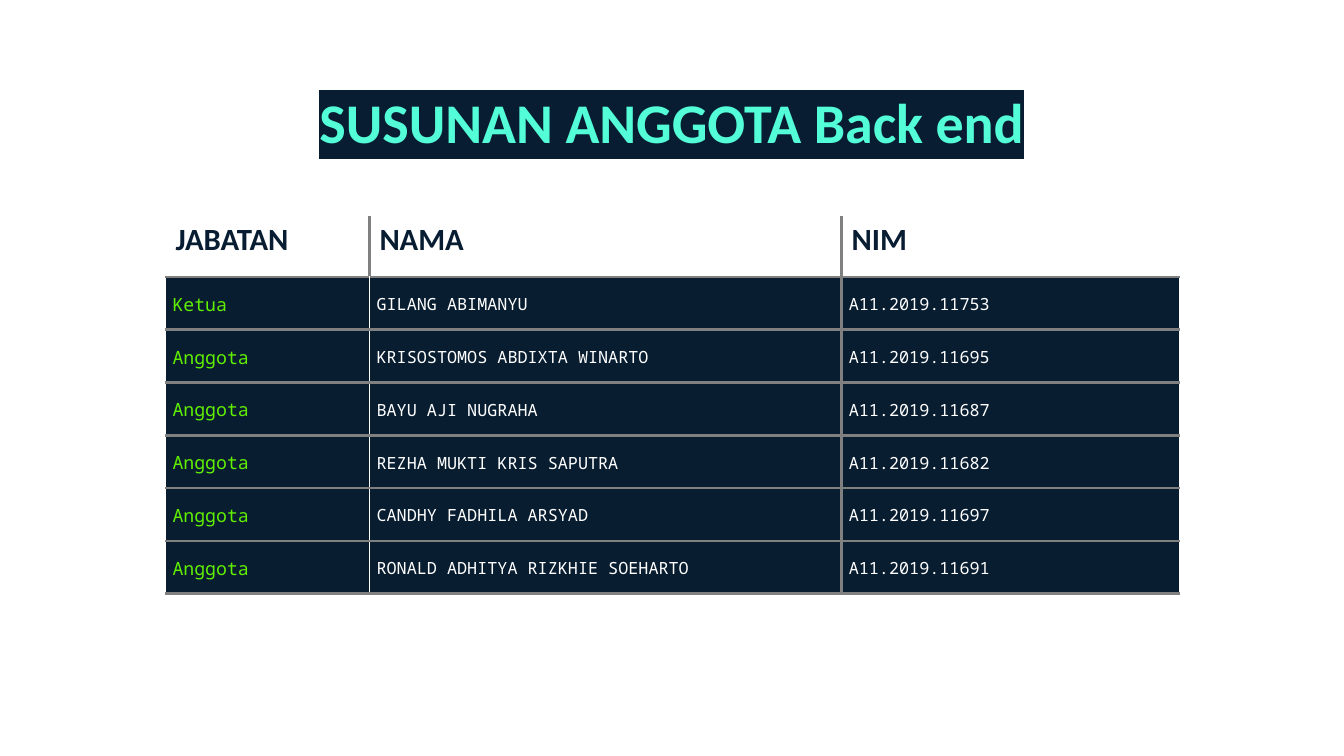
from lxml.etree import SubElement as Sub
from pptx import Presentation
from pptx.dml.color import RGBColor
from pptx.enum.text import MSO_ANCHOR as Anchor, PP_ALIGN as Align
from pptx.oxml import parse_xml
from pptx.oxml.ns import nsdecls, qn
from pptx.util import Cm, Pt

NAVY, DARK, MINT = "081D32", "081D30", "53FDD8"
GREEN, GRAY, WHITE = "60EF01", "808080", "FFFFFF"
SANS, MONO = "Calibri", "Noto Sans Mono"

HEADS = ["JABATAN", "NAMA", "NIM"]
TEAM = [
    ("Ketua", "GILANG ABIMANYU", "A11.2019.11753"),
    ("Anggota", "KRISOSTOMOS ABDIXTA WINARTO", "A11.2019.11695"),
    ("Anggota", "BAYU AJI NUGRAHA", "A11.2019.11687"),
    ("Anggota", "REZHA MUKTI KRIS SAPUTRA", "A11.2019.11682"),
    ("Anggota", "CANDHY FADHILA ARSYAD", "A11.2019.11697"),
    ("Anggota", "RONALD ADHITYA RIZKHIE SOEHARTO", "A11.2019.11691"),
]
WIDTHS = [5.14, 11.9, 8.52]
HEAD_H, ROW_H = 1.53, 1.33


def color(code):
    return RGBColor.from_string(code)


def add_run(para, text, size, face, code, bold=False):
    run = para.add_run()
    run.text = text
    font = run.font
    font.size, font.name, font.bold = Pt(size), face, bold
    font.color.rgb = color(code)
    return run


def mark(run, code):
    """Set a highlight behind a run."""
    light = parse_xml(f'<a:highlight {nsdecls("a")}/>')
    Sub(light, qn("a:srgbClr"), val=code)
    run.font.fill._xPr.find(qn("a:solidFill")).addnext(light)


def add_title(slide, text):
    box = slide.shapes.add_textbox(Cm(2.67), Cm(1.96), Cm(28.52), Cm(2.13))
    frame = box.text_frame
    frame.word_wrap = True
    frame.margin_left = frame.margin_right = Cm(0.25)
    frame.margin_top = frame.margin_bottom = Cm(0.25)
    para = frame.paragraphs[0]
    para.alignment = Align.CENTER
    mark(add_run(para, text, 40, SANS, MINT, True), NAVY)


def set_edges(cell, left, right, top, bottom):
    """Gray edges are thick, white ones thin."""
    props = cell._tc.get_or_add_tcPr()
    sides = zip(("lnL", "lnR", "lnT", "lnB"), (left, right, top, bottom))
    for spot, (tag, code) in enumerate(sides):
        width = Pt(2.25 if code == GRAY else 1)
        line = parse_xml(f'<a:{tag} {nsdecls("a")} w="{width}"/>')
        Sub(Sub(line, qn("a:solidFill")), qn("a:srgbClr"), val=code)
        props.insert(spot, line)


def fill_cell(cell, text, row, col):
    head = row == 0
    cell.fill.solid()
    cell.fill.fore_color.rgb = color(WHITE if head else DARK)
    para = cell.text_frame.paragraphs[0]
    if head:
        add_run(para, text, 22, SANS, NAVY, True)
    else:
        cell.vertical_anchor = Anchor.MIDDLE
        cell.margin_left = cell.margin_right = Cm(0.18)
        cell.margin_top = cell.margin_bottom = 0
        para.line_spacing, para.space_after = 1.07, Pt(8)
        size, code = (13, GREEN) if col == 0 else (12, WHITE)
        add_run(para, text, size, MONO, code)
    # Upright rules: white outside and beside the roles, gray elsewhere
    rules = [WHITE, GRAY if head else WHITE, GRAY, WHITE]
    set_edges(cell, rules[col], rules[col + 1], WHITE if head else GRAY, GRAY)


def add_team(slide):
    rows = [HEADS, *TEAM]
    high = HEAD_H + ROW_H * len(TEAM)
    frame = slide.shapes.add_table(len(rows), len(HEADS), Cm(4.17), Cm(5.45),
                                   Cm(sum(WIDTHS)), Cm(high))
    table = frame.table
    table.horz_banding = False
    for col, width in enumerate(WIDTHS):
        table.columns[col].width = Cm(width)
    for row, texts in enumerate(rows):
        table.rows[row].height = Cm(ROW_H if row else HEAD_H)
        for col, text in enumerate(texts):
            fill_cell(table.cell(row, col), text, row, col)


def main():
    deck = Presentation()
    deck.slide_width, deck.slide_height = Cm(33.87), Cm(19.05)
    slide = deck.slides.add_slide(deck.slide_layouts[6])
    # Heading
    add_title(slide, "SUSUNAN ANGGOTA Back end")
    # Member table
    add_team(slide)
    deck.save("out.pptx")


if __name__ == "__main__":
    main()
